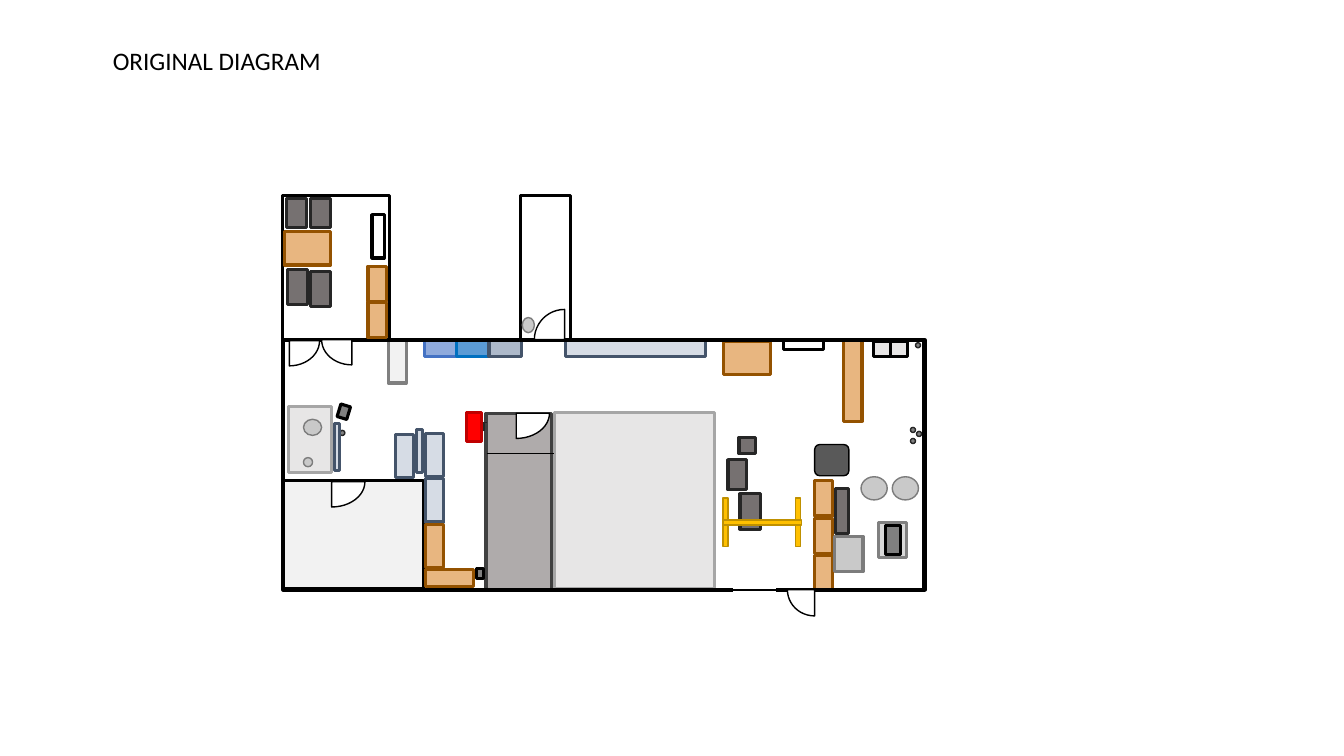
from lxml import etree
from pptx import Presentation
from pptx import util as u
from pptx.dml.color import RGBColor
from pptx.enum import shapes, text
from pptx.oxml.ns import qn

PX = 9144
RECT = shapes.MSO_SHAPE.RECTANGLE
OVAL = shapes.MSO_SHAPE.OVAL
COLORS = {
    "black": "000000", "white": "FFFFFF", "ink": "262626", "charcoal": "404040",
    "coal": "595959", "stone": "767171", "gray": "808080", "steel": "7C7C7C",
    "ash": "A6A6A6", "taupe": "AFABAB", "silver": "C9C9C9", "fog": "D9D9D9",
    "mist": "E7E6E6", "paper": "F2F2F2", "tan": "E8B680", "brown": "945200",
    "ice": "D6DCE5", "slate": "44546A", "periwinkle": "8FAADC", "royal": "4472C4",
    "sky": "5B9BD5", "blue": "0070C0", "haze": "ADB9CA", "red": "FF0000",
    "maroon": "C00000", "gold": "FFC000", "ochre": "BF9000",
}
STYLES = {
    "shell": (None, "black", 3), "window": (None, "black", 2.25),
    "room": ("white", "black", 2.25), "office": ("paper", "black", 2.25),
    "small bay": ("taupe", "charcoal", 2.25), "large bay": ("mist", "ash", 2.25),
    "wood": ("tan", "brown", 2.25), "metal": ("ice", "slate", 2.25),
    "locker": ("paper", "gray", 2.25), "blue unit": ("periwinkle", "royal", 2.25),
    "sky unit": ("sky", "blue", 2.25), "haze unit": ("haze", "slate", 2.25),
    "cart": ("silver", "steel", 2.25), "bin": ("mist", "black", 2.25),
    "chair": ("stone", "ink", 2.25), "stand": ("fog", "gray", 2.25),
    "device": ("gray", "black", 2.25), "drum": ("silver", "steel", 1),
    "machine": ("coal", "black", 1), "gantry": ("gold", "ochre", 1),
    "door": ("white", "black", 1), "dot": ("gray", "ink", 1),
    "alarm": ("red", "maroon", 2.25),
}
CORNERS = {"right": 0, "left": 90, "top left": 180}


def rgb(name):
    return RGBColor.from_string(COLORS[name])


def place(s, box, style, *rects, kind=RECT, rotation=0):
    fill, line, weight = STYLES[style]
    for x, y, w, h in rects:
        sp = s.shapes.add_shape(kind, (box[0] + x) * PX, (box[1] + y) * PX, w * PX, h * PX)
        sp.shadow.inherit = False
        sp.rotation = rotation
        if fill:
            sp.fill.solid()
            sp.fill.fore_color.rgb = rgb(fill)
        else:
            sp.fill.background()
        sp.line.color.rgb = rgb(line)
        sp.line.width = u.Pt(weight)
    return sp


def door(s, box, x, y, rx, ry, corner):
    sp = place(s, box, "door", (x - rx, y - ry, 2 * rx, 2 * ry), kind=shapes.MSO_SHAPE.PIE)
    start = CORNERS[corner]
    sp.adjustments[0] = start * 0.6
    sp.adjustments[1] = (start + 90) * 0.6


def wall_line(s, box, x1, y1, x2, y2, color, weight):
    ends = [(o + d) * PX for o, d in zip(box * 2, (x1, y1, x2, y2))]
    c = s.shapes.add_connector(shapes.MSO_CONNECTOR.STRAIGHT, *ends)
    c.line.color.rgb = rgb(color)
    c.line.width = u.Pt(weight)
    etree.SubElement(c._element.spPr, qn("a:effectLst"))


def title(s, box):
    x, y, w, h = [v * PX for v in box]
    tf = s.shapes.add_textbox(x, y, w, h).text_frame
    tf.word_wrap = False
    tf.auto_size = text.MSO_AUTO_SIZE.SHAPE_TO_FIT_TEXT
    p = tf.paragraphs[0]
    p.text = "ORIGINAL DIAGRAM"
    r = p.runs[0]
    r.font.size = u.Pt(18)
    r.font.name = "Calibri"
    r.font.color.rgb = rgb("black")


def wall_units(s, box):
    place(s, box, "locker", (0, 0, 18, 43))
    place(s, box, "metal", (176, 0, 139, 17))
    for i, style in enumerate(("blue unit", "sky unit", "haze unit")):
        place(s, box, style, (36 + 32 * i, 0, 32, 17))
    place(s, box, "wood", (333, 2, 46, 33))
    place(s, box, "window", (392, 1, 40, 9))


def office(s, box):
    place(s, box, "office", (0, 74, 139, 107))
    door(s, box, 48, 75, 33, 25, "right")
    place(s, box, "large bay", (5, 0, 43, 66))
    place(s, box, "device", (55, -1, 10, 13), rotation=17)
    place(s, box, "dot", (56, 24, 5, 5), kind=OVAL)
    place(s, box, "drum", (20, 13, 18, 16), (20, 51, 9, 9), kind=OVAL)
    place(s, box, "metal", (51, 17, 5, 47), (132, 23, 6, 43), (111, 28, 18, 43))
    place(s, box, "wood", (141, 162, 48, 17))
    for i, style in enumerate(("metal", "metal", "wood")):
        place(s, box, style, (141, 27 + 45 * i, 18, 43))


def bays(s, box):
    place(s, box, "small bay", (0, 1, 65, 175))
    place(s, box, "large bay", (68, 0, 159, 175))
    place(s, box, "device", (-9, 155, 7, 10))
    door(s, box, 30, 1, 33, 25, "right")
    place(s, box, "alarm", (-19, 0, 15, 29))
    wall_line(s, box, 1, 10, -2, 10, "ink", 1)
    wall_line(s, box, -2, 19, -2, 10, "ink", 1)
    wall_line(s, box, 1, 41, 67, 41, "black", 1)


def gantry_area(s, box):
    place(s, box, "chair", (17, 56, 20, 35), (5, 22, 18, 30), (16, 0, 16, 16))
    place(s, box, "gantry", (0, 60, 5, 48), (72, 60, 5, 48), (0, 82, 78, 5))


def store(s, box):
    place(s, box, "wood", (29, 0, 18, 81), *[(0, 140 + 37 * i, 18, 35) for i in (2, 1, 0)])
    place(s, box, "cart", (20, 195, 28, 35))
    place(s, box, "bin", *[(58 + 17 * i, 2, 17, 15) for i in (1, 0)])
    place(s, box, "stand", (63, 181, 28, 35))
    place(s, box, "device", (70, 184, 15, 29))
    place(s, box, "drum", (46, 136, 26, 23), (77, 136, 26, 23), kind=OVAL)
    place(s, box, "machine", (0, 104, 34, 31), kind=shapes.MSO_SHAPE.ROUNDED_RECTANGLE)
    place(s, box, "chair", (21, 148, 13, 44))
    dots = ((95, 98), (95, 87), (101, 91), (100, 3))
    place(s, box, "dot", *[(x, y, 5, 5) for x, y in dots], kind=OVAL)


def shell(s, box, w, h):
    place(s, box, "shell", (0, 0, w, h))
    wall_line(s, box, 446, h - 1, 489, h - 1, "white", 4.5)
    wall_line(s, box, 436, h, 495, h, "black", 1.5)
    door(s, box, 527, h, 27, 26, "left")


def closet(s, box, w, h):
    place(s, box, "room", (0, 0, w, h))
    door(s, box, 44, h, 30, 30, "top left")
    place(s, box, "drum", (2, 121, 12, 15), kind=OVAL)


def annex(s, box, w, h):
    door(s, box, 7, h + 1, 30, 25, "right")
    place(s, box, "room", (0, 0, w, h))
    door(s, box, 69, h, 30, 25, "left")
    place(s, box, "wood", (85, 106, 18, 35), (85, 70, 18, 35), (2, 36, 46, 33))
    place(s, box, "chair", (5, 73, 20, 35), (28, 75, 20, 35), (4, 3, 20, 29), (28, 3, 20, 29))
    place(s, box, "window", (89, 19, 12, 43))


def main():
    prs = Presentation()
    prs.slide_width, prs.slide_height = 1333 * PX, 750 * PX
    s = prs.slides.add_slide(prs.slide_layouts[6])
    wall_units(s, (385, 337))
    office(s, (281, 403))
    bays(s, (482, 409))
    store(s, (808, 337))
    gantry_area(s, (717, 434))
    shell(s, (281, 337), 636, 248)
    closet(s, (516, 194), 50, 143)
    annex(s, (280, 194), 106, 143)
    title(s, (102, 40, 228, 40))
    prs.save("out.pptx")


if __name__ == "__main__":
    main()
